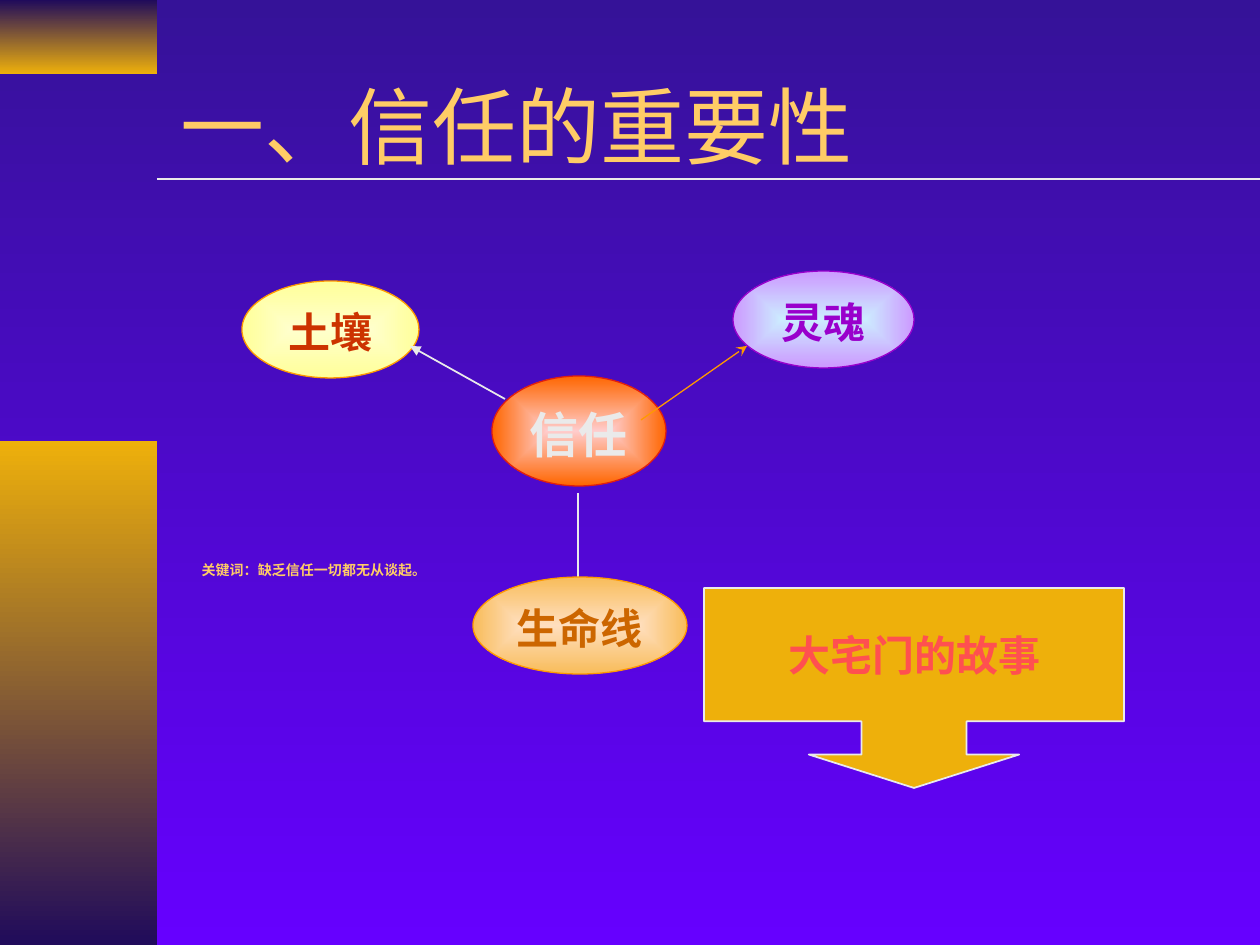
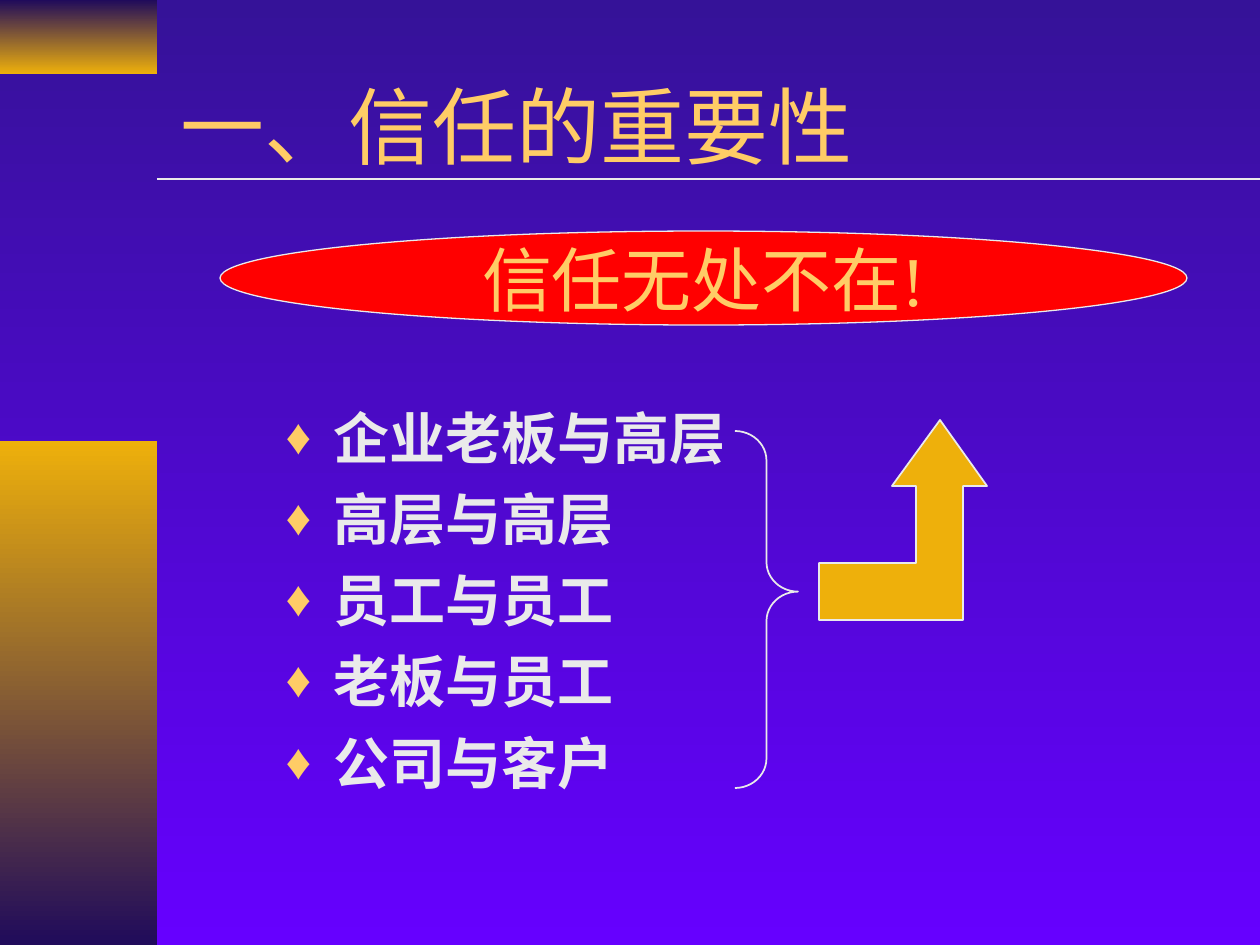
from dataclasses import dataclass

from lxml import etree
from pptx import Presentation
from pptx import util as u
from pptx.dml.color import RGBColor
from pptx.enum import shapes, text
from pptx.oxml.ns import qn

PX = 914400 / 126
SLIDE_W, SLIDE_H = 1260, 945
HEADING = "一、信任的重要性"


@dataclass(frozen=True)
class Theme:
    sky: tuple = ("351298", "6600FF")
    navy: str = "200B5B"
    gold: str = "EEB00B"
    sand: str = "FFCC66"
    pale: str = "EAEAEA"
    red: str = "FF0000"
    coral: str = "FF5050"
    orange: str = "FF9900"
    latin: str = "Times New Roman"
    chinese: str = "Noto Sans CJK SC"
    title_size: int = 48
    banner_size: int = 40
    list_size: int = 32
    hub_size: int = 28
    node_size: int = 24
    note_size: int = 8
    thin: float = 0.75
    rule: float = 1


T = Theme()


def emu(*lengths):
    return [u.Emu(round(length * PX)) for length in lengths]


def rgb(color):
    return RGBColor.from_string(color)


def add_xml(parent, tag, **attributes):
    return etree.SubElement(parent, qn(tag), attributes)


def gradient(fill, colors, radial=False):
    """Blend two colours downwards, or from the centre outwards."""
    fill.gradient()
    fill.gradient_angle = 270
    for stop, color in zip(fill.gradient_stops, colors):
        stop.color.rgb = rgb(color)
    return fill


def radiate(shape, colors):
    """Blend two colours from the centre outwards."""
    gradient(shape.fill, colors)
    blend = shape._element.spPr.find(qn("a:gradFill"))
    blend.remove(blend.find(qn("a:lin")))
    path = add_xml(blend, "a:path", path="rect")
    add_xml(path, "a:fillToRect", **dict.fromkeys("ltrb", "50000"))


def outline(shape, color, width):
    shape.shadow.inherit = False
    shape.line.color.rgb = rgb(color)
    shape.line.width = u.Pt(width)


def style(paragraph, size, color, bold=False, align=text.PP_ALIGN.LEFT):
    paragraph.alignment = align
    font = paragraph.font
    font.size, font.bold, font.name = u.Pt(size), bold, T.latin
    font.color.rgb = rgb(color)
    defaults = paragraph._p.pPr.find(qn("a:defRPr"))
    add_xml(defaults, "a:ea", typeface=T.chinese)


def label(shape, words, size, color, bold=True, spacing=1.0):
    frame = shape.text_frame
    frame.text = words
    frame.word_wrap = False
    frame.vertical_anchor = text.MSO_ANCHOR.MIDDLE
    paragraph = frame.paragraphs[0]
    paragraph.line_spacing = spacing
    style(paragraph, size, color, bold, text.PP_ALIGN.CENTER)


def connect(slide, start, end, color, width, head=None):
    line = slide.shapes.add_connector(
        shapes.MSO_CONNECTOR.STRAIGHT, *emu(*start, *end))
    line.line.color.rgb = rgb(color)
    line.line.width = u.Pt(width)
    properties = line._element.spPr
    if head:
        add_xml(properties.find(qn("a:ln")), "a:tailEnd", type=head)
    add_xml(properties, "a:effectLst")


def place(placeholder, box):
    (placeholder.left, placeholder.top,
     placeholder.width, placeholder.height) = emu(*box)
    placeholder.text_frame.auto_size = text.MSO_AUTO_SIZE.NONE
    return placeholder.text_frame


def sidebar(slide, box):
    left, top, width, height = box
    bands = ((0, 74, (T.navy, T.gold)), (441, height - 441, (T.gold, T.navy)))
    for offset, depth, colors in bands:
        band = slide.shapes.add_shape(
            shapes.MSO_SHAPE.RECTANGLE, *emu(left, top + offset, width, depth))
        band.shadow.inherit = False
        band.line.fill.background()
        gradient(band.fill, colors)


def new_slide(deck):
    """Add a slide with the side bands, the heading and the rule under it."""
    slide = deck.slides.add_slide(deck.slide_layouts[1])
    sidebar(slide, (0, 0, 157, SLIDE_H))
    frame = place(slide.shapes.title, (168, 42, 1071, 166))
    frame.text = HEADING
    frame.vertical_anchor = text.MSO_ANCHOR.MIDDLE
    style(frame.paragraphs[0], T.title_size, T.sand)
    connect(slide, (157, 179), (SLIDE_W, 179), T.pale, T.rule)
    return slide


def keyword_note(slide, box):
    frame = place(slide.placeholders[1], box)
    frame.text = "关键词：缺乏信任一切都无从谈起。"
    note = frame.paragraphs[0]
    properties = note._p.get_or_add_pPr()
    properties.set("marL", "0")
    properties.set("indent", "0")
    add_xml(properties, "a:buNone")
    note.space_before = u.Pt(0)
    style(note, T.note_size, T.sand, bold=True)


def trust_map(slide, box):
    left, top = box[:2]

    def at(x, y):
        return left + x, top + y

    nodes = (
        ("灵魂", (491, 0, 181, 97), ("CCECFF", "CC99FF"), "9900CC", "9900CC", T.node_size),
        ("土壤", (0, 10, 177, 97), ("FFFFCC", "FFFF99"), T.orange, "CC3300", T.node_size),
        ("生命线", (231, 306, 214, 97), ("FFDFBF", "F8BC5A"), T.orange, "CC6600", T.node_size),
        ("信任", (250, 105, 174, 110), ("FFCCCC", "FF6600"), "E11E0F", T.pale, T.hub_size),
    )
    connect(slide, at(336, 222), at(336, 317), T.pale, T.rule, "triangle")
    for words, (x, y, width, height), colors, edge, ink, size in nodes:
        node = slide.shapes.add_shape(
            shapes.MSO_SHAPE.OVAL, *emu(*at(x, y), width, height))
        radiate(node, colors)
        outline(node, edge, T.thin)
        label(node, words, size, ink, spacing=1.1)
    connect(slide, at(399, 149), at(505, 75), T.orange, T.thin, "stealth")
    connect(slide, at(263, 128), at(168, 75), T.pale, T.rule, "triangle")


def story_callout(slide, box):
    story = slide.shapes.add_shape(
        shapes.MSO_SHAPE.DOWN_ARROW_CALLOUT, *emu(*box))
    for index, ratio in enumerate((0.526, 0.526, 0.167, 0.667)):
        story.adjustments[index] = ratio
    story.fill.solid()
    story.fill.fore_color.rgb = rgb(T.gold)
    outline(story, T.pale, T.rule)
    label(story, "大宅门的故事", T.node_size, T.coral)


def banner(slide, box):
    oval = slide.shapes.add_shape(shapes.MSO_SHAPE.OVAL, *emu(*box))
    oval.fill.solid()
    oval.fill.fore_color.rgb = rgb(T.red)
    outline(oval, T.pale, T.thin)
    label(oval, "信任无处不在!", T.banner_size, T.sand, bold=False)


def relations(slide, box):
    pairs = ("企业老板与高层", "高层与高层", "员工与员工", "老板与员工", "公司与客户")
    frame = place(slide.placeholders[1], box)
    frame.text = "\n".join(pairs)
    hang = emu(48)[0]
    for index, pair in enumerate(frame.paragraphs):
        properties = pair._p.get_or_add_pPr()
        properties.set("marL", str(hang))
        properties.set("indent", str(-hang))
        add_xml(add_xml(properties, "a:buClr"), "a:srgbClr", val=T.sand)
        add_xml(properties, "a:buSzPct", val="90000")
        add_xml(properties, "a:buChar", char="♦")
        pair.line_spacing = u.Pt(38.4)
        pair.space_before = u.Pt(8 if index else 0)
        style(pair, T.list_size, T.pale, bold=True)


def brace(slide, box):
    bracket = slide.shapes.add_shape(shapes.MSO_SHAPE.RIGHT_BRACE, *emu(*box))
    bracket.adjustments[0] = 0.47
    bracket.adjustments[1] = 0.45
    bracket.fill.background()
    outline(bracket, T.pale, T.rule)


def rising_arrow(slide, box):
    left, top, width, height = box
    shaft_left, shaft_right, head_left, tip = 97, 144, 73, 121
    neck, elbow = 66, 143
    corners = ((0, elbow), (shaft_left, elbow), (shaft_left, neck),
               (head_left, neck), (tip, 0), (width, neck),
               (shaft_right, neck), (shaft_right, height), (0, height))
    points = [(left + x, top + y) for x, y in corners]
    builder = slide.shapes.build_freeform(*points[0], scale=PX)
    builder.add_line_segments(points[1:], close=True)
    arrow = builder.convert_to_shape()
    arrow.fill.solid()
    arrow.fill.fore_color.rgb = rgb(T.gold)
    outline(arrow, T.pale, T.rule)


def importance_slide(deck):
    slide = new_slide(deck)
    keyword_note(slide, (189, 555, 1071, 32))
    trust_map(slide, (242, 271, 672, 403))
    story_callout(slide, (704, 588, 420, 200))


def everywhere_slide(deck):
    slide = new_slide(deck)
    relations(slide, (273, 397, 872, 474))
    banner(slide, (220, 231, 967, 94))
    brace(slide, (735, 431, 63, 357))
    rising_arrow(slide, (819, 420, 168, 200))


def main():
    deck = Presentation()
    deck.slide_width, deck.slide_height = emu(SLIDE_W, SLIDE_H)
    gradient(deck.slide_master.background.fill, T.sky)
    importance_slide(deck)
    everywhere_slide(deck)
    deck.save("out.pptx")


if __name__ == "__main__":
    main()
